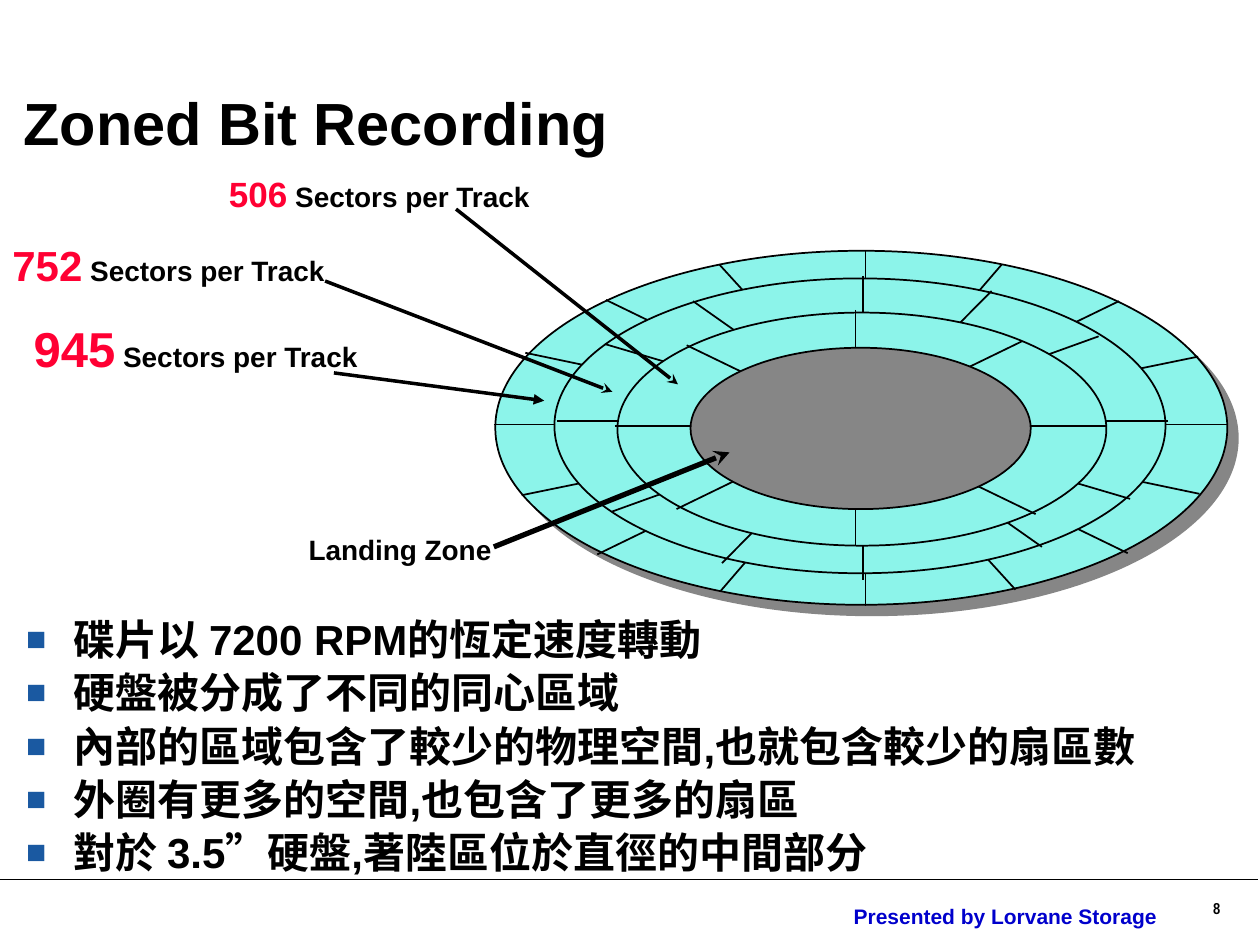
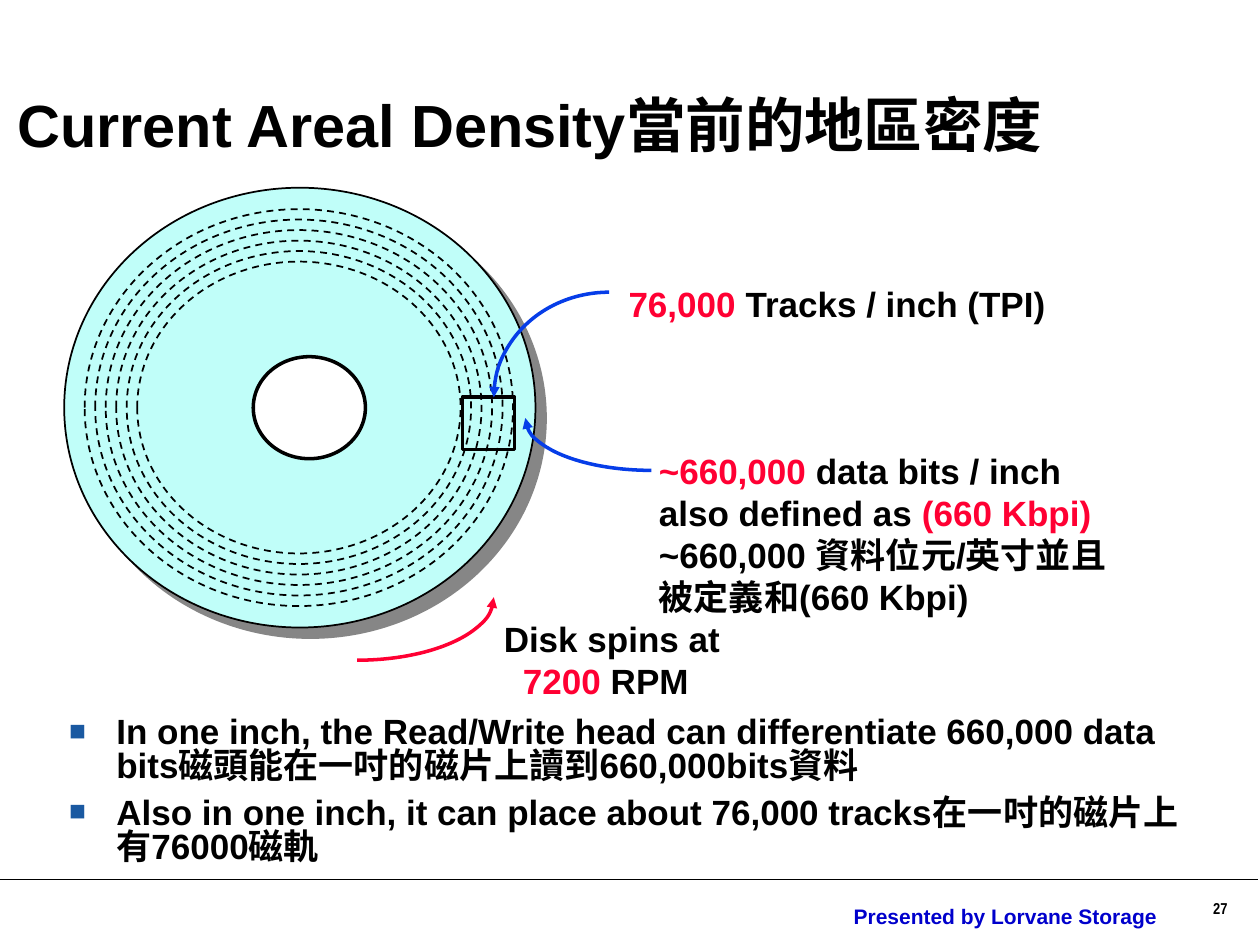
"""Build two slides on disk recording zones and areal density."""
from dataclasses import dataclass
from typing import NamedTuple, Optional

from lxml import etree
from pptx import Presentation
from pptx.dml.color import RGBColor
from pptx.enum.dml import MSO_LINE
from pptx.enum.shapes import MSO_CONNECTOR, MSO_SHAPE
from pptx.enum.text import MSO_ANCHOR, MSO_AUTO_SIZE, PP_ALIGN
from pptx.oxml.ns import qn
from pptx.util import Pt

ELLIPSE, ARC = MSO_SHAPE.OVAL, MSO_SHAPE.ARC
STRAIGHT, DASH = MSO_CONNECTOR.STRAIGHT, MSO_LINE.DASH
TOP, MIDDLE = MSO_ANCHOR.TOP, MSO_ANCHOR.MIDDLE
LEFT, CENTER = PP_ALIGN.LEFT, PP_ALIGN.CENTER
FIXED, GROW = MSO_AUTO_SIZE.NONE, MSO_AUTO_SIZE.SHAPE_TO_FIT_TEXT


@dataclass(frozen=True)
class Theme:
    """Colours, fonts and type sizes."""
    ink: RGBColor = RGBColor(0x00, 0x00, 0x00)
    paper: RGBColor = RGBColor(0xFF, 0xFF, 0xFF)
    red: RGBColor = RGBColor(0xFF, 0x00, 0x33)
    blue: RGBColor = RGBColor(0x06, 0x3D, 0xE8)
    footer: RGBColor = RGBColor(0x00, 0x00, 0xCC)
    bullet: RGBColor = RGBColor(0x1A, 0x59, 0xA1)
    zone: RGBColor = RGBColor(0x8C, 0xF4, 0xEA)
    platter: RGBColor = RGBColor(0xC0, 0xFE, 0xF9)
    grey: RGBColor = RGBColor(0x86, 0x86, 0x86)
    font: str = "Arial"
    narrow_font: str = "Arial Narrow"
    title_size: float = 34
    body_size: float = 24
    label_size: float = 20
    caption_size: float = 16
    footer_size: float = 12
    number_size: float = 9


THEME = Theme()


class Box(NamedTuple):
    """Left, top, width and height in points."""
    left: float
    top: float
    width: float
    height: float


class Segment(NamedTuple):
    """Start and end of a straight line in points."""
    x1: float
    y1: float
    x2: float
    y2: float


class Run(NamedTuple):
    """A stretch of text with its own colour or size."""
    text: str
    color: Optional[RGBColor] = None
    size: Optional[float] = None


class Zone(NamedTuple):
    """A recording zone and the sector borders that cross it."""
    box: Box
    borders: list


class SectorLabel(NamedTuple):
    """Sector count of a zone with its pointer."""
    count: str
    size: float
    box: Box
    pointer: Segment
    head: str


class Sweep(NamedTuple):
    """A quarter arc that carries an arrowhead."""
    box: Box
    start: int
    color: RGBColor
    arrow_end: str


RULE = Segment(0, 502.6, 718.6, 502.6)
FOOTER_BOX = Box(443.5, 512.6, 262, 21.6)
NUMBER_BOX = Box(686.2, 509.8, 33.8, 20.2)

ZONES = [
    Zone(Box(283, 143.3, 418.3, 202.3), [
        Segment(282.2, 242.6, 701.3, 242.6), Segment(494.6, 346.3, 494.6, 143.3),
        Segment(346.3, 171.4, 644.4, 316.1), Segment(639.4, 172.1, 341.3, 316.8),
        Segment(300.2, 201.6, 685.4, 282.2), Segment(411.1, 151.2, 580.3, 337),
        Segment(572.4, 151.2, 411.8, 337.7), Segment(298.1, 283, 684.7, 203.8)]),
    Zone(Box(316.8, 159.1, 349.2, 168.5), [
        Segment(493.2, 157.7, 493.2, 331.2), Segment(318.2, 240.5, 667.4, 240.5),
        Segment(396, 172.1, 595.4, 312.5), Segment(349.9, 292.3, 627.8, 192.2),
        Segment(566.6, 166.3, 412.6, 321.8), Segment(345.6, 196.6, 645.8, 285.1)]),
    Zone(Box(352.8, 178.6, 279.4, 133.2), [
        Segment(351.4, 243.4, 632.2, 243.4), Segment(488.9, 177.1, 488.9, 311.8),
        Segment(392.4, 197.3, 591.8, 293.8), Segment(583.9, 195.1, 386.6, 290.9)]),
]
LANDING_ZONE = Box(394.6, 198.7, 194.4, 92.2)

SECTOR_LABELS = [
    SectorLabel("506", 20, Box(123.8, 95, 187.2, 31),
                Segment(260.6, 119.5, 387.4, 219.6), "stealth"),
    SectorLabel("752", 24, Box(0, 133.2, 193.7, 36),
                Segment(185.8, 160.6, 349.9, 223.9), "stealth"),
    SectorLabel("945", 28, Box(12.2, 178.6, 200.2, 41),
                Segment(190.8, 213.1, 311, 229), "triangle"),
]
ZONE_NOTES = [
    "碟片以 7200 RPM的恆定速度轉動",
    "硬盤被分成了不同的同心區域",
    "內部的區域包含了較少的物理空間,也就包含較少的扇區數",
    "外圈有更多的空間,也包含了更多的扇區",
    "對於 3.5”硬盤,著陸區位於直徑的中間部分",
]

PLATTER = Box(36.7, 107.3, 269.3, 251.3)
SPINDLE = Box(144.7, 203.8, 64.1, 58.3)
OUTER_TRACK = Box(48.4, 119.5, 244.8, 226.8)
TRACK_COUNT, TRACK_GAP = 6, 6
SAMPLE = Box(264.2, 226.8, 29.8, 30.2)
SAMPLE_ARM = 18
SWEEPS = [
    Sweep(Box(282.2, 167, 131.8, 120.2), 180, THEME.blue, "headEnd"),
    Sweep(Box(300.2, 209, 144, 59.8), 90, THEME.blue, "tailEnd"),
    Sweep(Box(126, 305.3, 156.2, 72), 0, THEME.red, "headEnd"),
]
DENSITY_NOTES = [
    "In one inch, the Read/Write head can differentiate 660,000 data bits"
    "磁頭能在一吋的磁片上讀到660,000bits資料",
    "Also in one inch, it can place about 76,000 tracks在一吋的磁片上有76000磁軌",
]


def points(values: tuple) -> list:
    """Convert plain numbers to point lengths."""
    return [Pt(value) for value in values]


def add_arrowhead(shape, end: str, head: str) -> None:
    """Put an arrowhead on one end of an outline."""
    etree.SubElement(shape.line._get_or_add_ln(), qn(f"a:{end}"), type=head)


def add_bullet(paragraph) -> None:
    """Give a paragraph a hanging square bullet."""
    properties = paragraph._p.get_or_add_pPr()
    properties.set("marL", str(Pt(27)))
    properties.set("indent", str(Pt(-27)))
    color = etree.SubElement(properties, qn("a:buClr"))
    etree.SubElement(color, qn("a:srgbClr"), val=str(THEME.bullet))
    etree.SubElement(properties, qn("a:buSzPct"), val="80000")
    etree.SubElement(properties, qn("a:buFont"), typeface=THEME.font)
    etree.SubElement(properties, qn("a:buChar"), char="■")


def add_text(slide, box: Box, paragraphs: list, *, size: float,
             color: RGBColor = THEME.ink, font: str = THEME.font,
             align=LEFT, anchor=TOP, wrap: bool = True, fit=FIXED,
             spacing: Optional[float] = None, before: float = 0,
             bullets: bool = False):
    """Add a bold text box; each paragraph is a string or a list of runs."""
    text_box = slide.shapes.add_textbox(*points(box))
    frame = text_box.text_frame
    frame.word_wrap, frame.auto_size, frame.vertical_anchor = wrap, fit, anchor
    for index, content in enumerate(paragraphs):
        paragraph = frame.add_paragraph() if index else frame.paragraphs[0]
        paragraph.alignment = align
        paragraph.space_before = Pt(before)
        if spacing:
            paragraph.line_spacing = spacing
        if bullets:
            add_bullet(paragraph)
        for part in [Run(content)] if isinstance(content, str) else content:
            run = paragraph.add_run()
            run.text = part.text
            run.font.name, run.font.bold = font, True
            run.font.size = Pt(part.size or size)
            run.font.color.rgb = part.color or color
    return text_box


def add_label(slide, box: Box, paragraphs: list, size: float = THEME.label_size):
    """Add an unwrapped label that fits its text."""
    return add_text(slide, box, paragraphs, size=size, wrap=False, fit=GROW)


def style_outline(shape, color: RGBColor, width: float) -> None:
    """Set the outline of a shape without a shadow."""
    shape.shadow.inherit = False
    shape.line.color.rgb = color
    shape.line.width = Pt(width)


def add_ellipse(slide, box: Box, fill: RGBColor, *, width: float = 1,
                dashed: bool = False, shadow: bool = False) -> None:
    """Add a filled ellipse, optionally dashed or with a hard shadow."""
    ellipse = slide.shapes.add_shape(ELLIPSE, *points(box))
    ellipse.fill.solid()
    ellipse.fill.fore_color.rgb = fill
    style_outline(ellipse, THEME.ink, width)
    if dashed:
        ellipse.line.dash_style = DASH
    if shadow:
        effects = ellipse._element.spPr.find(qn("a:effectLst"))
        cast = etree.SubElement(effects, qn("a:outerShdw"), blurRad="0", dist=str(Pt(8.5)),
                                dir="2700000", algn="ctr", rotWithShape="0")
        etree.SubElement(cast, qn("a:srgbClr"), val=str(THEME.grey))


def add_line(slide, segment: Segment, width: float = 1, head: str = "") -> None:
    """Add a straight line, optionally with an arrowhead at its end."""
    line = slide.shapes.add_connector(STRAIGHT, *points(segment))
    line.line.color.rgb = THEME.ink
    line.line.width = Pt(width)
    if head:
        add_arrowhead(line, "tailEnd", head)
    etree.SubElement(line._element.spPr, qn("a:effectLst"))


def add_sweep(slide, sweep: Sweep) -> None:
    """Add a quarter arc with an arrowhead."""
    arc = slide.shapes.add_shape(ARC, *points(sweep.box))
    for index, degrees in enumerate((sweep.start, sweep.start + 90)):
        arc.adjustments[index] = degrees * 0.6
    arc.fill.background()
    style_outline(arc, sweep.color, 2)
    add_arrowhead(arc, sweep.arrow_end, "triangle")


def add_sample_bracket(slide, edge: float, arm_end: float) -> None:
    """Add one half of the frame around the sampled tracks."""
    right = SAMPLE.left + SAMPLE.width
    builder = slide.shapes.build_freeform(Pt(SAMPLE.left), Pt(arm_end))
    corners = [(SAMPLE.left, edge), (right, edge), (right, arm_end)]
    builder.add_line_segments([points(corner) for corner in corners], close=False)
    bracket = builder.convert_to_shape()
    bracket.fill.background()
    style_outline(bracket, THEME.ink, 2)


def start_slide(deck, title: str, title_box: Box, number: int):
    """Add a blank slide with rule, footer, title and number."""
    slide = deck.slides.add_slide(deck.slide_layouts[6])
    add_line(slide, RULE)
    add_text(slide, FOOTER_BOX, ["Presented by Lorvane Storage"], size=THEME.footer_size,
             color=THEME.footer, align=CENTER, fit=GROW, before=7.5)
    add_text(slide, title_box, [title], size=THEME.title_size, anchor=MIDDLE, spacing=0.85)
    add_text(slide, NUMBER_BOX, [str(number)], size=THEME.number_size, font=THEME.narrow_font)
    return slide


def build_zone_slide(deck) -> None:
    """Build the slide on zoned bit recording."""
    slide = start_slide(deck, "Zoned Bit Recording", Box(6.5, 49, 707, 47.5), 8)
    for index, zone in enumerate(ZONES):
        add_ellipse(slide, zone.box, THEME.zone, shadow=index == 0)
        for border in zone.borders:
            add_line(slide, border)
    add_ellipse(slide, LANDING_ZONE, THEME.grey)
    for label in SECTOR_LABELS:
        add_label(slide, label.box, [[Run(label.count, THEME.red, label.size),
                                      Run(" Sectors per Track")]], THEME.caption_size)
        add_line(slide, label.pointer, 2, label.head)
    add_text(slide, Box(7.9, 351.4, 712.1, 157), ZONE_NOTES, size=THEME.body_size,
             spacing=0.85, before=6, bullets=True)
    add_label(slide, Box(169.2, 301, 118.8, 26.6), ["Landing Zone"], THEME.caption_size)
    add_line(slide, Segment(282.2, 312.5, 416.9, 258.5), 3, "stealth")


def build_density_slide(deck) -> None:
    """Build the slide on areal density."""
    slide = start_slide(deck, "Current Areal Density當前的地區密度", Box(2.9, 50.4, 671, 47.5), 27)
    add_ellipse(slide, PLATTER, THEME.platter, shadow=True)
    for inset in range(0, TRACK_COUNT * TRACK_GAP, TRACK_GAP):
        track = Box(OUTER_TRACK.left + inset, OUTER_TRACK.top + inset,
                    OUTER_TRACK.width - 2 * inset, OUTER_TRACK.height - 2 * inset)
        add_ellipse(slide, track, THEME.platter, dashed=True)
    bottom = SAMPLE.top + SAMPLE.height
    add_sample_bracket(slide, bottom, bottom - SAMPLE_ARM)
    add_sample_bracket(slide, SAMPLE.top, SAMPLE.top + SAMPLE_ARM)
    add_ellipse(slide, SPINDLE, THEME.paper, width=2)
    for sweep in SWEEPS:
        add_sweep(slide, sweep)
    add_label(slide, Box(352.1, 157.7, 254.2, 31),
              [[Run("76,000 ", THEME.red), Run("Tracks / inch (TPI)")]])
    add_label(slide, Box(369.4, 253.4, 284.4, 103.7), [
        [Run("~660,000 ", THEME.red), Run("data bits / inch")],
        [Run("also defined as"), Run(" (660 Kbpi)", THEME.red)],
        "~660,000 資料位元/英寸並且",
        "被定義和(660 Kbpi)"])
    spin = add_label(slide, Box(280.8, 349.2, 144, 55.4),
                     ["Disk spins at", [Run("7200", THEME.red), Run(" RPM")]])
    spin.text_frame.paragraphs[1]._p.get_or_add_pPr().set("marL", str(Pt(11)))
    add_text(slide, Box(32.4, 406.8, 666.7, 97.2), DENSITY_NOTES, size=THEME.label_size,
             spacing=0.8, before=7.5, bullets=True)


def main() -> None:
    """Build and save the deck."""
    deck = Presentation()
    deck.slide_width, deck.slide_height = Pt(720), Pt(540)
    build_zone_slide(deck)
    build_density_slide(deck)
    deck.save("out.pptx")


if __name__ == "__main__":
    main()
